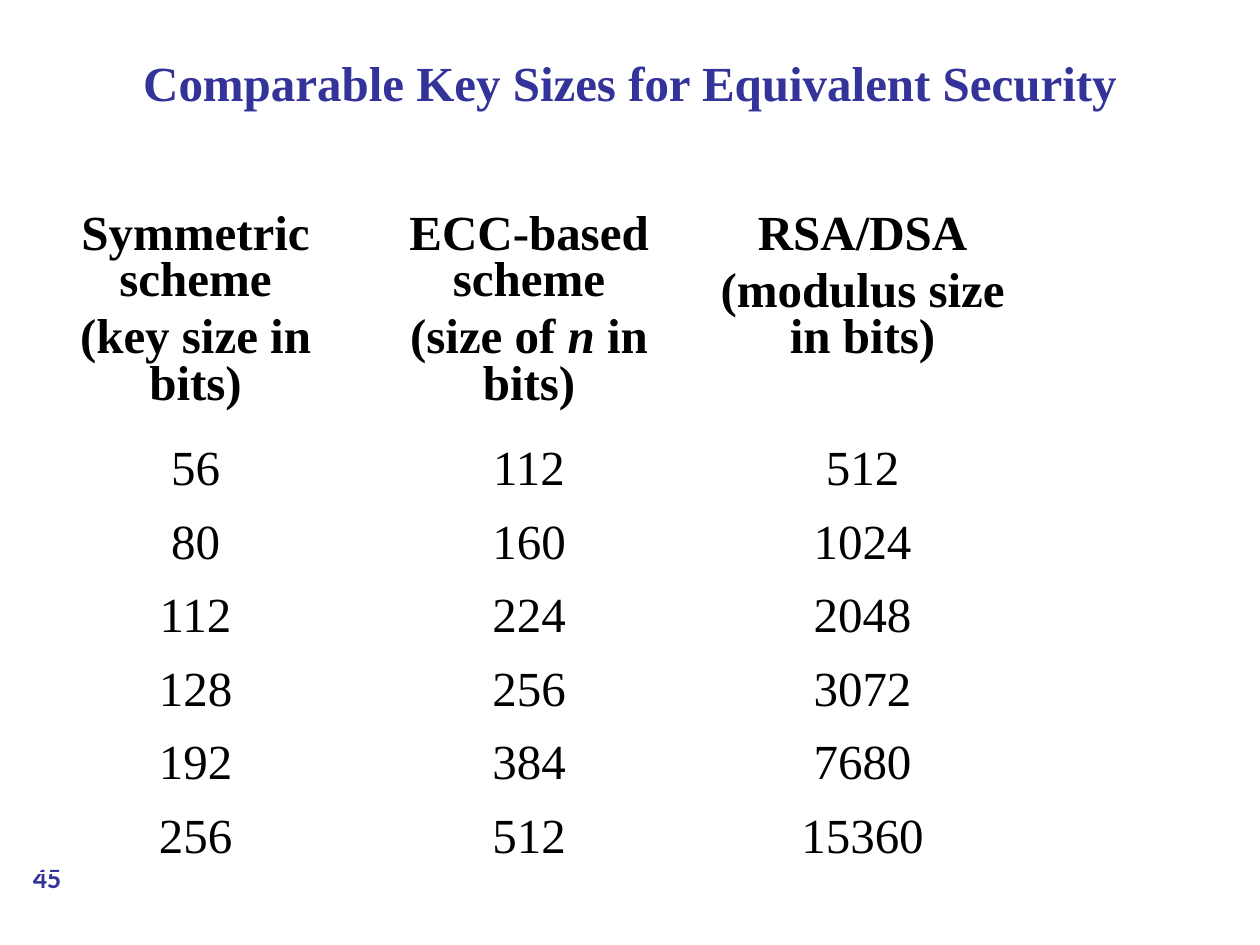
from pptx import Presentation
from pptx.dml.color import RGBColor as RGB
from pptx.enum.shapes import MSO_SHAPE as SHAPE
from pptx.enum.text import MSO_ANCHOR as ANCHOR, PP_ALIGN as ALIGN
from pptx.util import Cm, Pt

COLORS = {"accent": "333399", "text": "000000", "paper": "FFFFFF"}
SERIF = "Times New Roman"
HEADERS = [
    [["Symmetric scheme"], ["(key size in bits)"]],
    [["ECC-based scheme"], ["(size of ", "n", " in bits)"]],
    [["RSA/DSA"], ["(modulus size in bits)"]],
]
KEY_SIZES = [
    (56, 112, 512),
    (80, 160, 1024),
    (112, 224, 2048),
    (128, 256, 3072),
    (192, 384, 7680),
    (256, 512, 15360),
]


def add_text(p, text, size=28, font=SERIF, color="text", bold=False, italic=False):
    p.alignment = ALIGN.CENTER
    r = p.add_run()
    r.text = text
    f = r.font
    f.size, f.name, f.bold, f.italic = Pt(size), font, bold, italic
    f.color.rgb = RGB.from_string(COLORS[color])


def add_title(s, left, top, width, height):
    tf = s.shapes.add_textbox(left, top, width, height).text_frame
    tf.word_wrap = True
    tf.vertical_anchor = ANCHOR.MIDDLE
    add_text(tf.paragraphs[0], "Comparable Key Sizes for Equivalent Security",
             color="accent", bold=True)


def add_page_number(s, left, top, width, height):
    sp = s.shapes.add_shape(SHAPE.OVAL, left, top, width, height)
    sp.shadow.inherit = False
    sp.fill.solid()
    sp.fill.fore_color.rgb = RGB.from_string(COLORS["paper"])
    sp.line.color.rgb = RGB.from_string(COLORS["paper"])
    sp.line.width = Pt(2)
    tf = sp.text_frame
    tf.margin_left = tf.margin_right = tf.margin_top = tf.margin_bottom = 0
    tf.vertical_anchor = ANCHOR.MIDDLE
    add_text(tf.paragraphs[0], "45", size=16, font="Calibri", color="accent", bold=True)


def fill_cell(cell, paragraphs, bold):
    cell.fill.background()
    cell.margin_left = cell.margin_right = Cm(0.25)
    cell.margin_top, cell.margin_bottom = Cm(0.33), Cm(0.13)
    tf = cell.text_frame
    for i, runs in enumerate(paragraphs):
        p = tf.add_paragraph() if i else tf.paragraphs[0]
        p.line_spacing = 0.86
        p.space_before = Pt(3 if i else 0)
        p.space_after = Pt(3)
        for text in runs:
            add_text(p, text, bold=bold, italic=text == "n")


def add_key_table(s, left, top, width, header_height, row_height):
    rows = [HEADERS] + [[[[str(n)]] for n in sizes] for sizes in KEY_SIZES]
    height = header_height + row_height * len(KEY_SIZES)
    table = s.shapes.add_table(len(rows), len(HEADERS), left, top, width, height).table
    table.first_row = table.horz_banding = False
    for i, row in enumerate(rows):
        table.rows[i].height = row_height if i else header_height
        for j, paragraphs in enumerate(row):
            fill_cell(table.cell(i, j), paragraphs, bold=i == 0)


def main():
    prs = Presentation()
    prs.slide_width, prs.slide_height = Cm(25.4), Cm(19.05)
    s = prs.slides.add_slide(prs.slide_layouts[6])
    add_page_number(s, Cm(0), Cm(17.27), Cm(1.9), Cm(0.84))
    add_title(s, Cm(1.27), Cm(0.36), Cm(22.86), Cm(2.57))
    add_key_table(s, Cm(0.58), Cm(3.96), Cm(20.17), Cm(3.86), Cm(1.37))
    prs.save("out.pptx")


if __name__ == "__main__":
    main()
